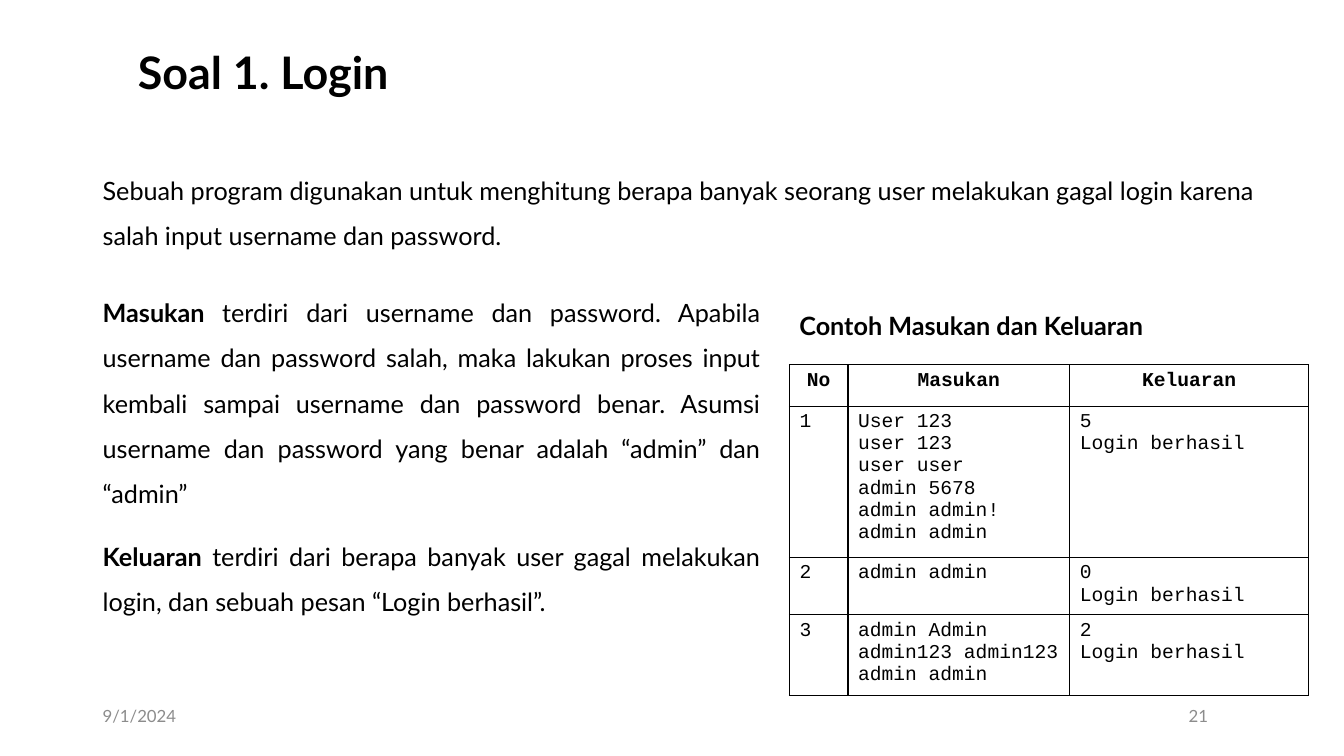
from lxml import etree
from pptx import Presentation
from pptx.dml.color import RGBColor
from pptx.enum.text import MSO_ANCHOR, PP_ALIGN
from pptx.oxml.ns import qn
from pptx.util import Inches, Pt

LEFT, CENTER, RIGHT, JUSTIFY = PP_ALIGN.LEFT, PP_ALIGN.CENTER, PP_ALIGN.RIGHT, PP_ALIGN.JUSTIFY
TOP, MIDDLE = MSO_ANCHOR.TOP, MSO_ANCHOR.MIDDLE
W, H = 13.33, 7.5
COL_1, COL_2, EDGE = 0.92, 7.83, 12.98
BLACK, GREY = "000000", "8C8C8C"


def color(value):
    return RGBColor.from_string(value)


def write(tf, paragraphs, size, font="Lato", fill=BLACK, align=LEFT, spacing=1.0, gap=0):
    tf.word_wrap = True
    for i, runs in enumerate(paragraphs):
        p = tf.paragraphs[0] if i == 0 else tf.add_paragraph()
        p.alignment = align
        p.line_spacing = spacing
        p.space_before = Pt(gap if i else 0)
        p.space_after = Pt(gap)
        for text, bold in runs:
            r = p.add_run()
            r.text = text
            r.font.name = font
            r.font.size = Pt(size)
            r.font.bold = bold
            r.font.color.rgb = color(fill)


prs = Presentation()
prs.slide_width, prs.slide_height = Inches(W), Inches(H)
s = prs.slides.add_slide(prs.slide_layouts[6])

title = [[("Soal 1. Login", True)]]
intro = [[("Sebuah program digunakan untuk menghitung berapa banyak seorang user melakukan gagal login "
           "karena salah input username dan password.", False)]]
body = [
    [("Masukan ", True),
     ("terdiri dari username dan password. Apabila username dan password salah, maka lakukan proses "
      "input kembali sampai username dan password benar. Asumsi username dan password yang benar "
      "adalah “admin” dan “admin”", False)],
    [("Keluaran ", True),
     ("terdiri dari berapa banyak user gagal melakukan login, dan sebuah pesan “Login berhasil”.", False)],
]
example = [[("Contoh Masukan dan Keluaran", True)]]
date = [[("9/1/2024", False)]]
number = [[("21", False)]]

boxes = [
    (1.27, 0.4, 9.84, 0.68, title, 32, BLACK, LEFT, 0.9, 0, MIDDLE),
    (COL_1, 1.54, EDGE - COL_1, 0.96, intro, 18, BLACK, LEFT, 1.5, 0, TOP),
    (COL_1, 2.75, 6.72, 3.9, body, 18, BLACK, JUSTIFY, 1.5, 6, TOP),
    (COL_2, 2.88, EDGE - COL_2, 0.52, example, 18, BLACK, JUSTIFY, 1.5, 6, TOP),
    (COL_1, 6.9, 1.47, 0.4, date, 12, GREY, LEFT, 1.0, 0, MIDDLE),
    (2.43, 6.9, 9.65, 0.4, number, 12, GREY, RIGHT, 1.0, 0, MIDDLE),
]
for x, y, w, h, paragraphs, size, fill, align, spacing, gap, anchor in boxes:
    tf = s.shapes.add_textbox(Inches(x), Inches(y), Inches(w), Inches(h)).text_frame
    tf.vertical_anchor = anchor
    write(tf, paragraphs, size, fill=fill, align=align, spacing=spacing, gap=gap)

rows = [
    (["No"], ["Masukan"], ["Keluaran"]),
    (["1"], ["User 123", "user 123", "user user", "admin 5678", "admin admin!", "admin admin"],
     ["5", "Login berhasil"]),
    (["2"], ["admin admin"], ["0", "Login berhasil"]),
    (["3"], ["admin Admin", "admin123 admin123", "admin admin"], ["2", "Login berhasil"]),
]
widths = [0.58, 2.2, 2.37]
heights = [0.41, 1.42, 0.54, 0.76]
table = s.shapes.add_table(len(rows), len(widths), Inches(COL_2), Inches(3.62),
                           Inches(sum(widths)), Inches(sum(heights))).table
table.first_row = table.horz_banding = False
for column, width in zip(table.columns, widths):
    column.width = Inches(width)
for i, (row, height) in enumerate(zip(rows, heights)):
    table.rows[i].height = Inches(height)
    for j, lines in enumerate(row):
        cell = table.cell(i, j)
        write(cell.text_frame, [[(line, i == 0)] for line in lines], 14, "Courier New",
              align=LEFT if i else CENTER)
        tcPr = cell._tc.get_or_add_tcPr()
        for side in ("a:lnL", "a:lnR", "a:lnT", "a:lnB"):
            ln = etree.SubElement(tcPr, qn(side), w=str(Pt(1)))
            line_fill = etree.SubElement(ln, qn("a:solidFill"))
            etree.SubElement(line_fill, qn("a:srgbClr"), val=BLACK)
        cell.fill.background()

prs.save("out.pptx")
